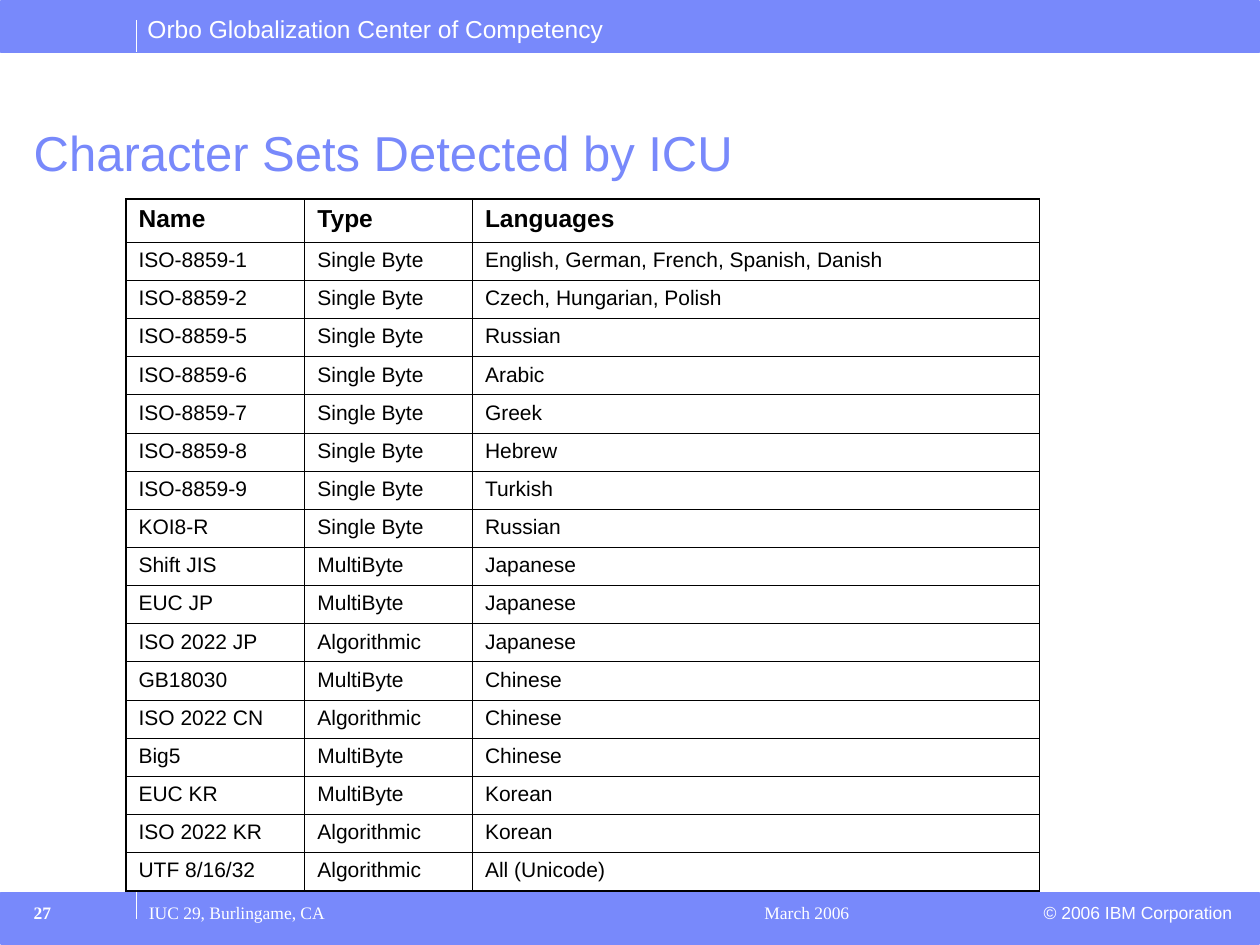
from lxml.etree import SubElement
from pptx import Presentation
from pptx.dml.color import RGBColor
from pptx.enum.shapes import MSO_CONNECTOR, MSO_SHAPE
from pptx.enum.text import MSO_ANCHOR, PP_ALIGN
from pptx.oxml import parse_xml
from pptx.oxml.ns import nsdecls, qn
from pptx.util import Pt

BLUE, WHITE, BLACK = "7889FB", "FFFFFF", "000000"
SANS, SERIF = "Arial", "Times New Roman"
THIN, THICK = 0.45, 1.08
COLUMN_WIDTHS = [102.2, 95.8, 324]
HEADER_HEIGHT, ROW_HEIGHT = 24.6, 21.8

CHARACTER_SETS = [
    ("Name", "Type", "Languages"),
    ("ISO-8859-1", "Single Byte", "English, German, French, Spanish, Danish"),
    ("ISO-8859-2", "Single Byte", "Czech, Hungarian, Polish"),
    ("ISO-8859-5", "Single Byte", "Russian"),
    ("ISO-8859-6", "Single Byte", "Arabic"),
    ("ISO-8859-7", "Single Byte", "Greek"),
    ("ISO-8859-8", "Single Byte", "Hebrew"),
    ("ISO-8859-9", "Single Byte", "Turkish"),
    ("KOI8-R", "Single Byte", "Russian"),
    ("Shift JIS", "MultiByte", "Japanese"),
    ("EUC JP", "MultiByte", "Japanese"),
    ("ISO 2022 JP", "Algorithmic", "Japanese"),
    ("GB18030", "MultiByte", "Chinese"),
    ("ISO 2022 CN", "Algorithmic", "Chinese"),
    ("Big5", "MultiByte", "Chinese"),
    ("EUC KR", "MultiByte", "Korean"),
    ("ISO 2022 KR", "Algorithmic", "Korean"),
    ("UTF 8/16/32", "Algorithmic", "All (Unicode)"),
]


def color(value):
    return RGBColor.from_string(value)


def write(frame, text, size, font, tint, bold=False):
    """Fill a text frame with one formatted paragraph and return it."""
    frame.text = text
    para = frame.paragraphs[0]
    para.font.size = Pt(size)
    para.font.name = font
    para.font.bold = bold
    para.font.color.rgb = color(tint)
    return para


def add_band(slide, top):
    band = slide.shapes.add_shape(
        MSO_SHAPE.RECTANGLE, Pt(0.5), Pt(top), Pt(719), Pt(29.5))
    band.shadow.inherit = False
    band.fill.solid()
    band.fill.fore_color.rgb = color(BLUE)
    band.line.color.rgb = color(BLUE)
    band.line.width = Pt(1)


def add_divider(slide, top, bottom):
    divider = slide.shapes.add_connector(
        MSO_CONNECTOR.STRAIGHT, Pt(78), Pt(top), Pt(78), Pt(bottom))
    divider.line.color.rgb = color(WHITE)
    divider.line.width = Pt(1)
    SubElement(divider._element.spPr, qn("a:effectLst"))


def add_label(slide, text, left, top, width, height, size, font,
              tint=WHITE, bold=False):
    box = slide.shapes.add_textbox(Pt(left), Pt(top), Pt(width), Pt(height))
    box.text_frame.word_wrap = True
    para = write(box.text_frame, text, size, font, tint, bold)
    return box.text_frame, para


def set_borders(cell, widths):
    """Draw black borders; widths run left, right, top, bottom."""
    cell.fill.background()
    properties = cell._tc.get_or_add_tcPr()
    for index, (side, width) in enumerate(zip("LRTB", widths)):
        properties.insert(index, parse_xml(
            f'<a:ln{side} {nsdecls("a")} w="{Pt(width)}"><a:solidFill>'
            f'<a:srgbClr val="{BLACK}"/></a:solidFill></a:ln{side}>'))


def add_character_table(slide):
    last_row, last_column = len(CHARACTER_SETS) - 1, len(COLUMN_WIDTHS) - 1
    table = slide.shapes.add_table(
        last_row + 1, last_column + 1, Pt(72), Pt(113.8),
        Pt(sum(COLUMN_WIDTHS)), Pt(HEADER_HEIGHT + last_row * ROW_HEIGHT)).table
    table.first_row = table.horz_banding = False
    for column, width in zip(table.columns, COLUMN_WIDTHS):
        column.width = Pt(width)
    for r, texts in enumerate(CHARACTER_SETS):
        header = r == 0
        table.rows[r].height = Pt(HEADER_HEIGHT if header else ROW_HEIGHT)
        for c, text in enumerate(texts):
            cell = table.cell(r, c)
            write(cell.text_frame, text, 14 if header else 12, SANS, BLACK, header)
            outer = (c == 0, c == last_column, header, r == last_row)
            set_borders(cell, [THICK if edge else THIN for edge in outer])


def main():
    deck = Presentation()
    deck.slide_width, deck.slide_height = Pt(720), Pt(540)
    slide = deck.slides.add_slide(deck.slide_layouts[6])

    add_band(slide, 0.5)
    add_band(slide, 510)
    add_label(slide, "Orbo Globalization Center of Competency",
              77.2, 4.5, 300, 24, 14, SANS)
    _, para = add_label(slide, "© 2006 IBM Corporation",
                        450.5, 512, 260.5, 19.5, 10, SANS)
    para.alignment = PP_ALIGN.RIGHT
    add_divider(slide, 11.5, 30)
    add_divider(slide, 510, 525)

    frame, para = add_label(slide, "Character Sets Detected by ICU",
                            12.2, 68, 649.5, 39.6, 28, SANS, BLUE)
    frame.vertical_anchor = MSO_ANCHOR.BOTTOM
    para.line_spacing = 0.9

    add_character_table(slide)

    add_label(slide, "IUC 29, Burlingame, CA", 78, 512, 300, 19.5, 10, SERIF)
    add_label(slide, "27", 12.2, 512, 79, 25, 10, SERIF, bold=True)
    add_label(slide, "March 2006", 429.8, 512, 153.4, 19.5, 10, SERIF)
    deck.save("out.pptx")


if __name__ == "__main__":
    main()
